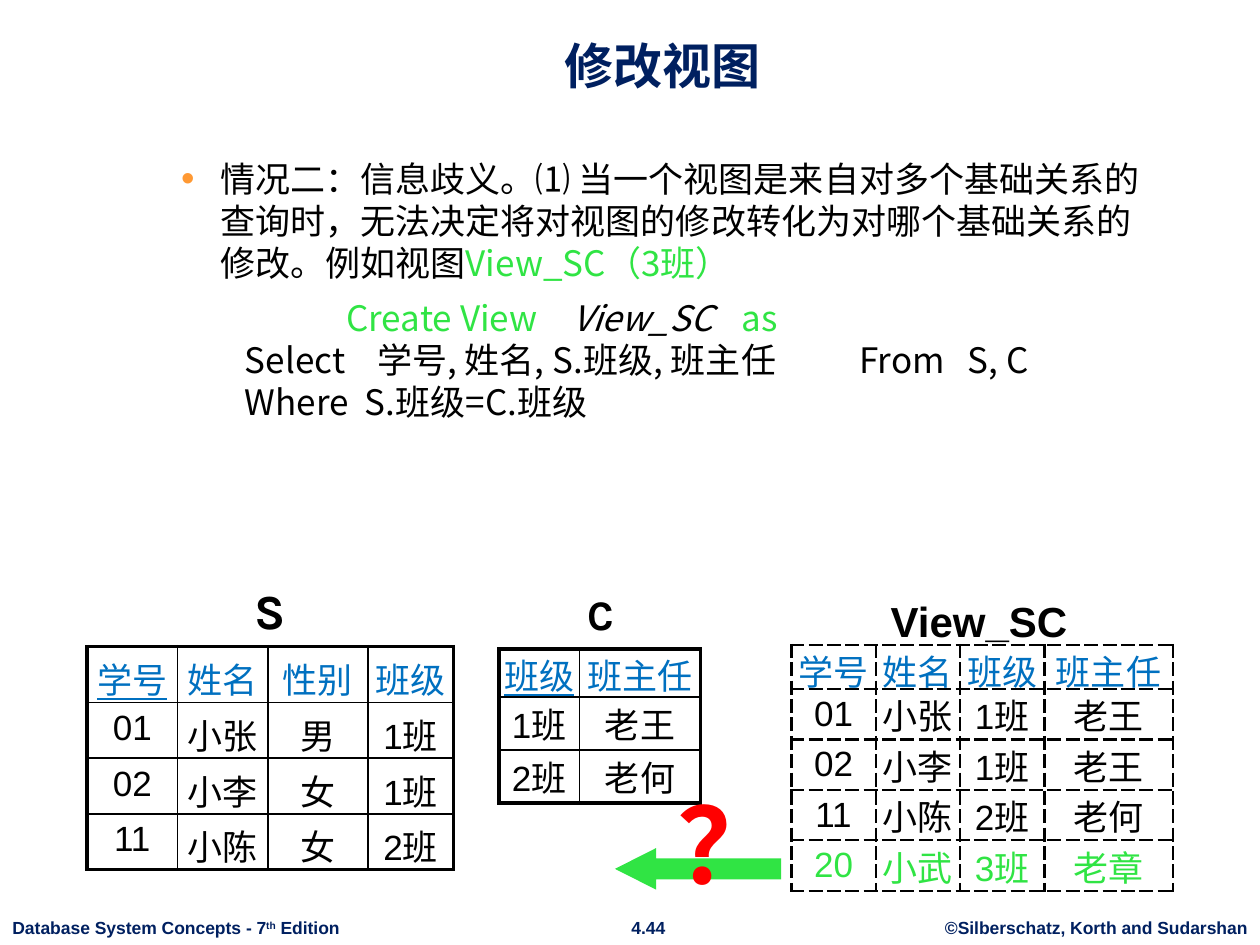
import pptx
import pptx.util
import pptx.dml.color
import pptx.enum.shapes
import pptx.enum.text
import pptx.oxml
import pptx.oxml.ns
from lxml import etree

Pt = pptx.util.Pt
Align = pptx.enum.text.PP_ALIGN
Anchor = pptx.enum.text.MSO_ANCHOR
NAVY, BLUE, GREEN, BLACK = "002060", "0070C0", "30E444", "000000"
NOTO = "Noto Sans CJK SC"
MIDDLE = Align.CENTER


def color(value):
    return pptx.dml.color.RGBColor.from_string(value)


def child(parent, tag, **attrs):
    node = etree.SubElement(parent, pptx.oxml.ns.qn(tag))
    for key, value in attrs.items():
        node.set(key, str(value))
    return node


def put(para, words, size=20, face="Arial", hue=BLACK, bold=False,
        slant=False, under=False, align=None, lift=0):
    run = para.add_run()
    run.text = words
    font = run.font
    font.size, font.name = Pt(size), face
    font.bold, font.italic, font.underline = bold, slant, under
    font.color.rgb = color(hue)
    if face == NOTO:
        child(run._r.get_or_add_rPr(), "a:ea", typeface=face)
    if lift:
        run._r.get_or_add_rPr().set("baseline", str(lift * 1000))
    if align is not None:
        para.alignment = align


def box(slide, left, top, width, height, side=7.2, edge=3.6, wrap=True):
    shape = slide.shapes.add_textbox(Pt(left), Pt(top), Pt(width), Pt(height))
    frame = shape.text_frame
    frame.word_wrap = wrap
    frame.margin_left = frame.margin_right = Pt(side)
    frame.margin_top = frame.margin_bottom = Pt(edge)
    return frame


def stops(para, places):
    tabs = child(para._p.get_or_add_pPr(), "a:tabLst")
    for place in places:
        child(tabs, "a:tab", pos=int(Pt(place)), algn="l")


def border(cell, sides, dash):
    props = cell._tc.get_or_add_tcPr()
    for spot, (side, width) in enumerate(zip("LRTB", sides)):
        line = pptx.oxml.parse_xml(
            f'<a:ln{side} {pptx.oxml.ns.nsdecls("a")} w="{int(Pt(width))}">'
            f'<a:solidFill><a:srgbClr val="{BLACK}"/></a:solidFill>'
            f'<a:prstDash val="{dash}"/></a:ln{side}>')
        props.insert(spot, line)


def grid(slide, left, top, cols, rows, data, outer, inner, dash="solid",
         edge=0, anchor=Anchor.MIDDLE, key=False, last=BLACK):
    frame = slide.shapes.add_table(len(rows), len(cols), Pt(left), Pt(top),
                                   Pt(sum(cols)), Pt(sum(rows)))
    table = frame.table
    table.first_row = table.horz_banding = False
    for col, width in zip(table.columns, cols):
        col.width = Pt(width)
    for row, height in zip(table.rows, rows):
        row.height = Pt(height)
    end, far = len(rows) - 1, len(cols) - 1
    for y, line in enumerate(data):
        for x, words in enumerate(line.split()):
            cell = table.cell(y, x)
            cell.margin_left = cell.margin_right = 0
            cell.margin_top = cell.margin_bottom = Pt(edge)
            cell.vertical_anchor = anchor
            if y == 0:
                cell.fill.solid()
                cell.fill.fore_color.rgb = color("FFFFFF")
            else:
                cell.fill.background()
            rims = (x == 0, x == far, y == 0, y == end)
            border(cell, [outer if rim else inner for rim in rims], dash)
            hue = BLUE if y == 0 else last if y == end else BLACK
            put(cell.text_frame.paragraphs[0], words, hue=hue, align=MIDDLE,
                under=key and x == y == 0)


def title(slide):
    shape = slide.shapes.title
    shape.left, shape.top = Pt(60.5), Pt(9.4)
    shape.width, shape.height = Pt(635.8), Pt(48.2)
    frame = shape.text_frame
    frame.auto_size = pptx.enum.text.MSO_AUTO_SIZE.NONE
    frame.vertical_anchor = Anchor.BOTTOM
    put(frame.paragraphs[0], "修改视图", size=28, hue=NAVY, bold=True,
        align=MIDDLE)


def point(slide):
    para = box(slide, 60.5, 86.4, 607, 80).paragraphs[0]
    para.line_spacing = Pt(24)
    props = para._p.get_or_add_pPr()
    props.set("marL", str(int(Pt(58.3))))
    props.set("indent", str(int(Pt(-22.3))))
    child(child(props, "a:buClr"), "a:srgbClr", val="FF9933")
    child(props, "a:buSzPct", val=110000)
    child(props, "a:buFont", typeface="Arial")
    child(props, "a:buChar", char="•")
    put(para, "情况二：信息歧义。⑴ 当一个视图是来自对多个基础关系的查询时，"
        "无法决定将对视图的修改转化为对哪个基础关系的修改。例如视图", face=NOTO)
    put(para, "View_SC（3班）", face=NOTO, hue=GREEN)


def query(slide):
    frame = box(slide, 140, 169.5, 520, 72, side=0, edge=0)
    lines = [
        ([58, 187, 284], [("\tCreate View\t", GREEN, False),
                          ("View_SC", BLACK, True), ("\tas", GREEN, False)]),
        ([75.5, 351, 413],
         [("Select\t学号, 姓名, S.班级, 班主任\tFrom\tS, C", BLACK, False)]),
        ([68.5], [("Where\tS.班级=C.班级", BLACK, False)]),
    ]
    for spot, (places, runs) in enumerate(lines):
        para = frame.add_paragraph() if spot else frame.paragraphs[0]
        para.line_spacing = Pt(24)
        stops(para, places)
        for words, hue, slant in runs:
            put(para, words, face=NOTO, hue=hue, slant=slant)


def arrow(slide):
    kind = pptx.enum.shapes.MSO_SHAPE.LEFT_ARROW
    shape = slide.shapes.add_shape(kind, Pt(351.4), Pt(484.6), Pt(95), Pt(23.8))
    shape.adjustments[1] = 0.99
    shape.shadow.inherit = False
    shape.fill.solid()
    shape.fill.fore_color.rgb = color(GREEN)
    shape.line.fill.background()
    para = box(slide, 387.4, 442, 54, 79.2, side=0).paragraphs[0]
    para.line_spacing = Pt(72)
    put(para, "？", size=60, face=NOTO, hue="FF0000", bold=True)


def footer(slide):
    style = {"size": 10, "hue": NAVY, "bold": True}
    para = box(slide, 0, 520.6, 202.3, 19.4, wrap=False).paragraphs[0]
    put(para, "Database System Concepts - 7", **style)
    put(para, "th", lift=30, **style)
    put(para, " Edition", **style)
    for left, width, words in [
            (352.8, 35.3, "4.44"),
            (532.8, 187.2, "©Silberschatz, Korth and Sudarshan")]:
        para = box(slide, left, 520.6, width, 19.4, wrap=False).paragraphs[0]
        put(para, words, align=MIDDLE, **style)


def main():
    deck = pptx.Presentation()
    deck.slide_width, deck.slide_height = Pt(720), Pt(540)
    slide = deck.slides.add_slide(deck.slide_layouts[5])
    footer(slide)
    title(slide)
    point(slide)
    query(slide)
    put(box(slide, 509, 340.5, 133.2, 28, side=0, edge=0).paragraphs[0],
        "View_SC", size=24, bold=True)
    grid(slide, 452.2, 368.6, [48.2, 48.2, 48.2, 73.4], [25.2] + [28.8] * 4,
         ["学号 姓名 班级 班主任", "01 小张 1班 老王", "02 小李 1班 老王",
          "11 小陈 2班 老何", "20 小武 3班 老章"],
         1.5, 1.5, dash="lgDash", last=GREEN)
    grid(slide, 285.1, 370.8, [46.1, 69.1], [27.4, 30.4, 30.4],
         ["班级 班主任", "1班 老王", "2班 老何"], 2.25, 1, key=True)
    grid(slide, 49.7, 369.4, [51.8, 51.8, 56.9, 49], [31.9] * 4,
         ["学号 姓名 性别 班级", "01 小张 男 1班", "02 小李 女 1班",
          "11 小陈 女 2班"],
         2.25, 1, edge=3.6, anchor=Anchor.TOP, key=True)
    arrow(slide)
    for words, size, left, top, width in [("C", 24, 310.3, 332.6, 66.2),
                                          ("S", 28, 103, 328.3, 102.2)]:
        para = box(slide, left, top, width, size * 1.2 + 7.2).paragraphs[0]
        put(para, words, size=size, face="Karla", bold=True, align=MIDDLE)
    deck.save("out.pptx")


if __name__ == "__main__":
    main()
